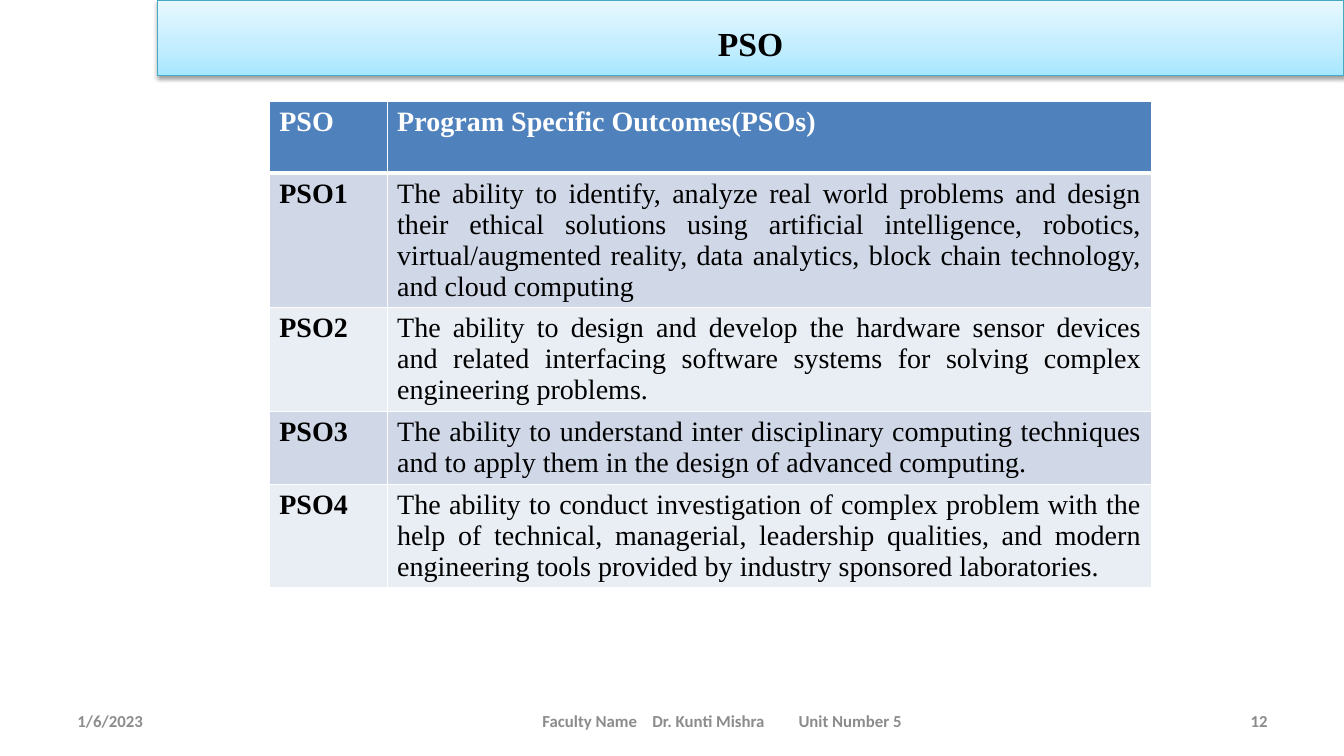
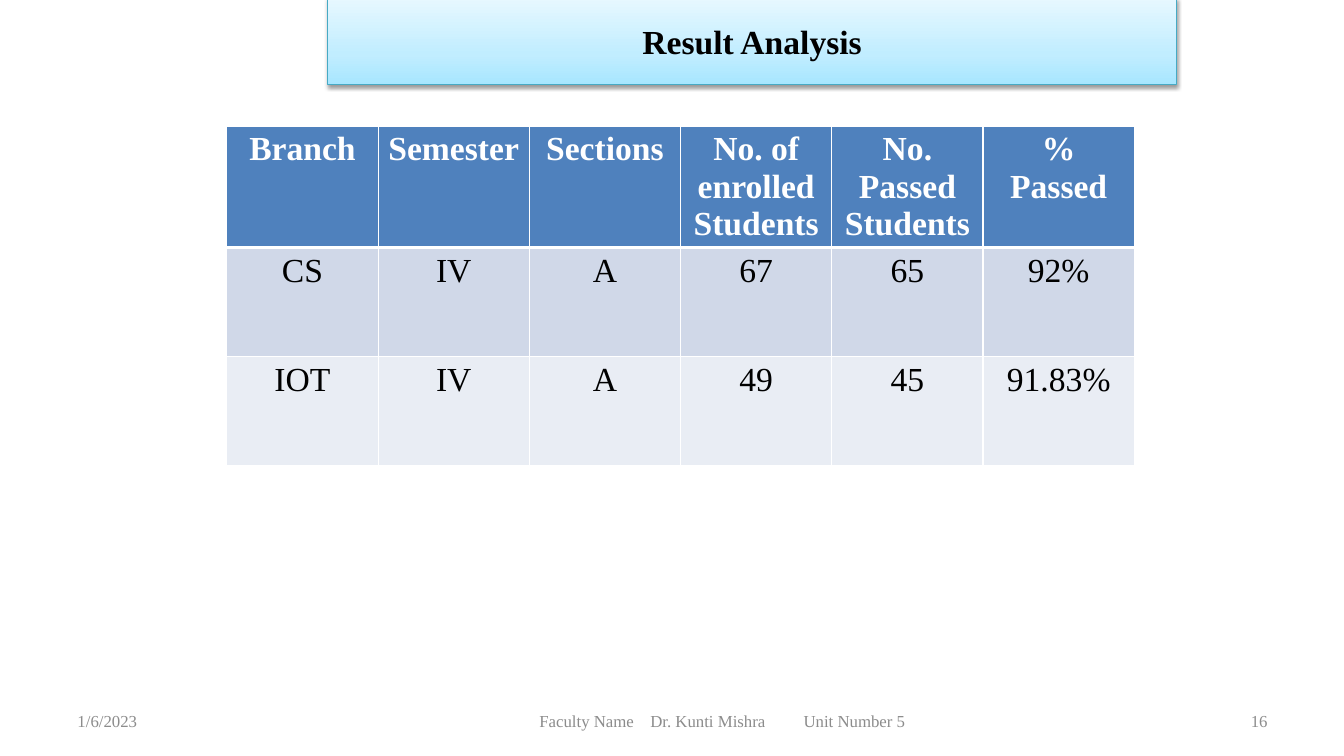
from pptx import Presentation
from pptx.dml.color import RGBColor
from pptx.enum.text import MSO_ANCHOR, MSO_AUTO_SIZE, PP_ALIGN
from pptx.oxml import parse_xml
from pptx.oxml.ns import nsdecls
from pptx.util import Inches, Pt

COLORS = {
    "text": "000000", "white": "FFFFFF", "footer": "8C8C8C",
    "header": "4F81BD", "odd_row": "D0D8E8", "even_row": "E9EDF4",
    "band_line": "46AAC5", "band_low": "A7E6FF", "band_mid": "C1EDFF",
    "band_high": "E7F8FF", "shadow": "000000",
}
SERIF, SANS = "Times New Roman", "Calibri"
LEFT, CENTER, RIGHT, JUSTIFY = (
    PP_ALIGN.LEFT, PP_ALIGN.CENTER, PP_ALIGN.RIGHT, PP_ALIGN.JUSTIFY)

DATE = "1/6/2023"
FACULTY = "Faculty Name\tDr. Kunti Mishra\tUnit Number 5"
FOOTER_TOP, FOOTER_HEIGHT = 6.95, 0.4

SLIDES = [
    {
        "title": "PSO",
        "band": (1.56, 0, 11.77, 0.75),
        "title_drop": 0.1,
        "number": "12",
        "footer_font": {"name": SANS, "size": Pt(12), "bold": True},
        "faculty_inset": 0.96,
        "faculty_tabs": (1.09, 2.54),
        "table_at": (2.67, 1.01),
        "columns": (1.17, 7.58),
        "row_heights": (0.71, 1.33, 1.03, 0.72, 1.02),
        "size": 20,
        "header_align": (LEFT, LEFT),
        "body_align": (LEFT, JUSTIFY),
        "bold_columns": (0,),
        "rows": [
            ("PSO", "Program Specific Outcomes(PSOs)"),
            ("PSO1", "The ability to identify, analyze real world problems and "
             "design their ethical solutions using artificial intelligence, "
             "robotics, virtual/augmented reality, data analytics, block chain "
             "technology, and cloud computing"),
            ("PSO2", "The ability to design and develop the hardware sensor "
             "devices and related interfacing software systems for solving "
             "complex engineering problems."),
            ("PSO3", "The ability to understand inter disciplinary computing "
             "techniques and to apply them in the design of advanced computing."),
            ("PSO4", "The ability to conduct investigation of complex problem "
             "with the help of technical, managerial, leadership qualities, and "
             "modern engineering tools provided by industry sponsored "
             "laboratories."),
        ],
    },
    {
        "title": "Result Analysis",
        "band": (3.25, -0.02, 8.42, 0.86),
        "title_drop": 0,
        "number": "16",
        "footer_font": {"name": SERIF, "size": Pt(12), "bold": False},
        "faculty_inset": 0.93,
        "faculty_tabs": (1.1, 2.62),
        "table_at": (2.25, 1.25),
        "columns": (1.5,) * 6,
        "row_heights": (1.2, 1.08, 1.08),
        "size": 24,
        "header_align": (CENTER,) * 6,
        "body_align": (CENTER,) * 6,
        "bold_columns": (),
        "rows": [
            ("Branch", "Semester", "Sections", "No. of enrolled Students",
             "No. Passed Students", "% Passed"),
            ("CS", "IV", "A", "67", "65", "92%"),
            ("IOT", "IV", "A", "49", "45", "91.83%"),
        ],
    },
]


def rgb(key):
    return RGBColor.from_string(COLORS[key])


def set_text(frame, text, color, align, font):
    frame.text = text
    paragraph = frame.paragraphs[0]
    paragraph.alignment = align
    run_font = paragraph.runs[0].font
    for attribute, value in font.items():
        setattr(run_font, attribute, value)
    run_font.color.rgb = rgb(color)
    return paragraph


def add_title(slide, content):
    """Turn the title placeholder into the shaded band at the top."""
    title = slide.shapes.title
    title.left, title.top, title.width, title.height = map(Inches, content["band"])
    stops = "".join(
        f'<a:gs pos="{position}"><a:srgbClr val="{COLORS[key]}"/></a:gs>'
        for position, key in ((0, "band_low"), (35000, "band_mid"), (100000, "band_high")))
    properties = title.element.spPr
    properties.append(parse_xml(
        f'<a:gradFill {nsdecls("a")} rotWithShape="1"><a:gsLst>{stops}</a:gsLst>'
        '<a:lin ang="16200000" scaled="0"/></a:gradFill>'))
    title.line.color.rgb = rgb("band_line")
    title.line.width = Pt(0.75)
    properties.append(parse_xml(
        f'<a:effectLst {nsdecls("a")}><a:outerShdw blurRad="{Pt(3.1)}" '
        f'dist="{Pt(1.6)}" dir="5400000" rotWithShape="0">'
        f'<a:srgbClr val="{COLORS["shadow"]}"><a:alpha val="38000"/></a:srgbClr>'
        '</a:outerShdw></a:effectLst>'))
    frame = title.text_frame
    frame.auto_size = MSO_AUTO_SIZE.NONE
    frame.vertical_anchor = MSO_ANCHOR.MIDDLE
    frame.margin_top = Inches(0.05 + content["title_drop"])
    set_text(frame, content["title"], "text", CENTER,
             {"name": SERIF, "size": Pt(24), "bold": True})


def add_footer(slide, content):
    parts = [
        (DATE, 0.67, 3.11, LEFT, 0.1, ()),
        (FACULTY, 4.42, 5.5, LEFT, content["faculty_inset"], content["faculty_tabs"]),
        (content["number"], 9.56, 3.11, RIGHT, 0.1, ()),
    ]
    for text, left, width, align, inset, tabs in parts:
        box = slide.shapes.add_textbox(
            *map(Inches, (left, FOOTER_TOP, width, FOOTER_HEIGHT)))
        frame = box.text_frame
        frame.word_wrap = True
        frame.vertical_anchor = MSO_ANCHOR.MIDDLE
        frame.margin_left = Inches(inset)
        paragraph = set_text(frame, text, "footer", align, content["footer_font"])
        if tabs:
            stops = "".join(f'<a:tab pos="{Inches(tab)}" algn="l"/>' for tab in tabs)
            paragraph._p.get_or_add_pPr().append(
                parse_xml(f'<a:tabLst {nsdecls("a")}>{stops}</a:tabLst>'))


def set_borders(cell, top, bottom):
    """Draw white cell edges; call before the cell gets its fill."""
    for side, width in (("L", 1), ("R", 1), ("T", top), ("B", bottom)):
        cell._tc.get_or_add_tcPr().append(parse_xml(
            f'<a:ln{side} {nsdecls("a")} w="{Pt(width)}"><a:solidFill>'
            f'<a:srgbClr val="{COLORS["white"]}"/></a:solidFill></a:ln{side}>'))


def add_outcome_table(slide, content):
    rows, columns, heights = content["rows"], content["columns"], content["row_heights"]
    left, top = content["table_at"]
    table = slide.shapes.add_table(
        len(rows), len(columns),
        *map(Inches, (left, top, sum(columns), sum(heights)))).table
    for column, width in zip(table.columns, columns):
        column.width = Inches(width)
    for r, (values, height) in enumerate(zip(rows, heights)):
        table.rows[r].height = Inches(height)
        is_header = r == 0
        fill = "header" if is_header else ("even_row", "odd_row")[r % 2]
        aligns = content["header_align" if is_header else "body_align"]
        for c, value in enumerate(values):
            cell = table.cell(r, c)
            set_borders(cell, 3 if r == 1 else 1, 3 if is_header else 1)
            cell.fill.solid()
            cell.fill.fore_color.rgb = rgb(fill)
            set_text(cell.text_frame, value, "white" if is_header else "text",
                     aligns[c],
                     {"name": SERIF, "size": Pt(content["size"]),
                      "bold": is_header or c in content["bold_columns"]})


def main():
    prs = Presentation()
    prs.slide_width, prs.slide_height = Inches(13.33), Inches(7.5)
    title_only = prs.slide_layouts[5]
    for content in SLIDES:
        slide = prs.slides.add_slide(title_only)
        add_title(slide, content)
        add_outcome_table(slide, content)
        add_footer(slide, content)
    prs.save("out.pptx")


if __name__ == "__main__":
    main()
